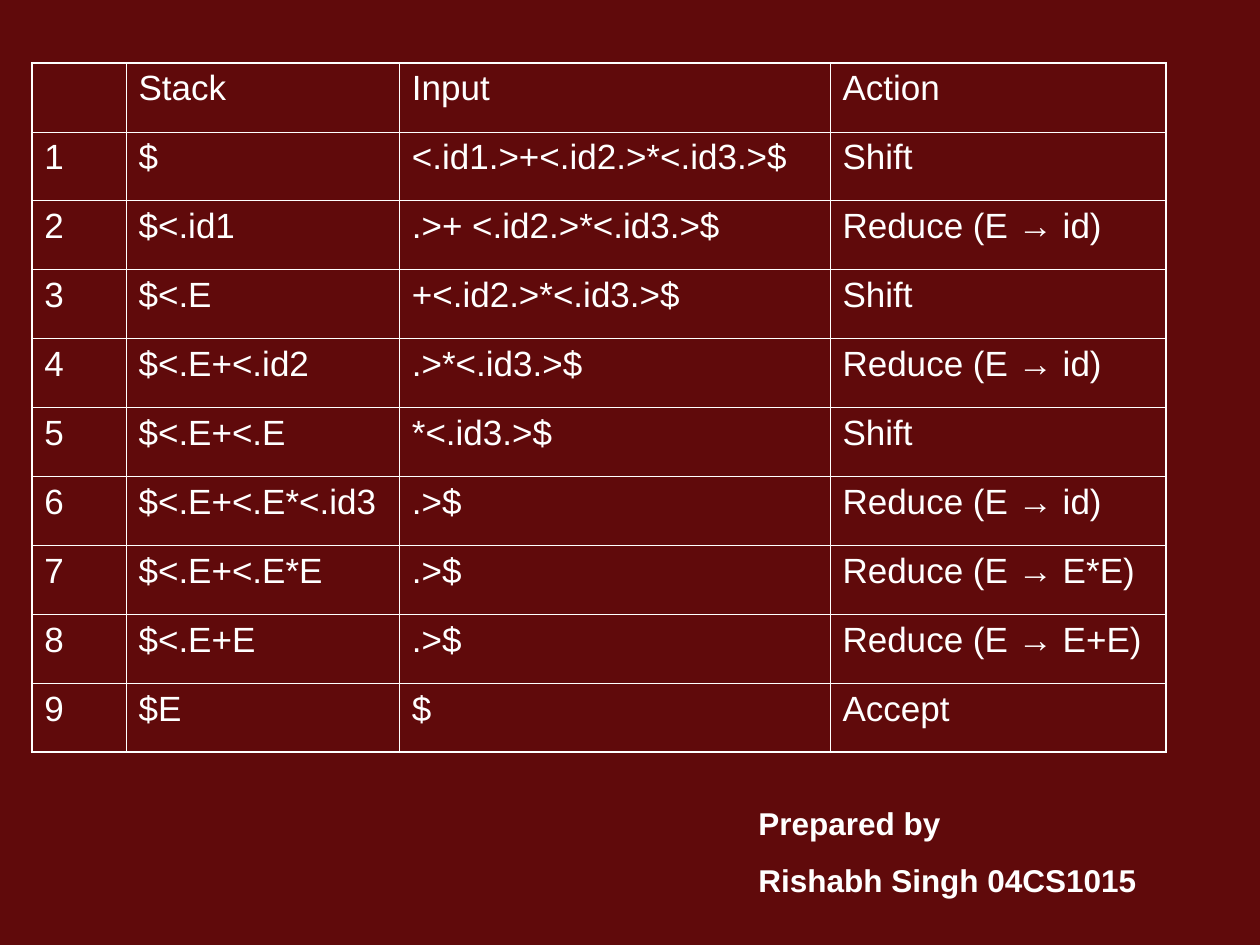
from lxml import etree
from pptx import Presentation
from pptx.dml.color import RGBColor
from pptx.enum.text import MSO_AUTO_SIZE
from pptx.oxml.ns import qn
from pptx.util import Cm, Pt

GROW = MSO_AUTO_SIZE.SHAPE_TO_FIT_TEXT
MAROON = RGBColor(0x60, 0x0A, 0x0B)
WHITE = RGBColor(0xFF, 0xFF, 0xFF)
ARROW = "→"
THIN, THICK = Pt(0.45), Pt(1.08)

# Parser trace
COLS = [1.9, 5.51, 8.68, 6.77]
ROW = 1.39
TRACE = [
    ("", "Stack", "Input", "Action"),
    ("1", "$", "<.id1.>+<.id2.>*<.id3.>$", "Shift"),
    ("2", "$<.id1", ".>+ <.id2.>*<.id3.>$", "Reduce (E → id)"),
    ("3", "$<.E", "+<.id2.>*<.id3.>$", "Shift"),
    ("4", "$<.E+<.id2", ".>*<.id3.>$", "Reduce (E → id)"),
    ("5", "$<.E+<.E", "*<.id3.>$", "Shift"),
    ("6", "$<.E+<.E*<.id3", ".>$", "Reduce (E → id)"),
    ("7", "$<.E+<.E*E", ".>$", "Reduce (E → E*E)"),
    ("8", "$<.E+E", ".>$", "Reduce (E → E+E)"),
    ("9", "$E", "$", "Accept"),
]


class Deck:
    font = "Arial"
    color = WHITE

    def __init__(self, wide, high):
        self.prs = Presentation()
        self.prs.slide_width, self.prs.slide_height = Cm(wide), Cm(high)
        self.slide = self.prs.slides.add_slide(self.prs.slide_layouts[6])

    def back(self, color):
        fill = self.slide.background.fill
        fill.solid()
        fill.fore_color.rgb = color

    def run(self, para, text, size, bold=False):
        run = para.add_run()
        run.text = text
        font = run.font
        font.name, font.size, font.bold = self.font, Pt(size), bold
        font.color.rgb = self.color

    def edge(self, cell, side, width):
        props = cell._tc.get_or_add_tcPr()
        line = etree.SubElement(props, qn("a:ln" + side), w=str(int(width)))
        fill = etree.SubElement(line, qn("a:solidFill"))
        etree.SubElement(fill, qn("a:srgbClr"), val=str(self.color))

    def table(self, left, top, cols, row, data, size):
        frame = self.slide.shapes.add_table(
            len(data), len(cols), Cm(left), Cm(top),
            Cm(sum(cols)), Cm(row * len(data)))
        grid = frame.table
        grid.first_row = grid.horz_banding = False
        for col, width in zip(grid.columns, cols):
            col.width = Cm(width)
        for r, texts in enumerate(data):
            grid.rows[r].height = Cm(row)
            for c, text in enumerate(texts):
                cell = grid.cell(r, c)
                # Outer edges are heavier than the inner ones
                outer = {"L": c == 0, "R": c == len(cols) - 1,
                         "T": r == 0, "B": r == len(data) - 1}
                for side, heavy in outer.items():
                    self.edge(cell, side, THICK if heavy else THIN)
                cell.fill.background()
                para = cell.text_frame.paragraphs[0]
                # The arrow stands in its own bold run
                for part in text.partition(ARROW):
                    if part:
                        self.run(para, part, size, part == ARROW)

    def text(self, left, top, width, height, lines, size, gap):
        box = self.slide.shapes.add_textbox(
            Cm(left), Cm(top), Cm(width), Cm(height))
        frame = box.text_frame
        frame.word_wrap = True
        frame.auto_size = GROW
        for i, line in enumerate(lines):
            para = frame.add_paragraph() if i else frame.paragraphs[0]
            if i:
                para.space_before = Pt(gap)
            self.run(para, line, size, True)


def main():
    deck = Deck(25.4, 19.05)
    deck.back(MAROON)
    # Trace table
    deck.table(0.64, 1.27, COLS, ROW, TRACE, 20)
    # Author
    deck.text(15.04, 16.08, 9.73, 2.18,
              ["Prepared by", "Rishabh Singh 04CS1015"], 18, 11.2)
    deck.prs.save("out.pptx")


if __name__ == "__main__":
    main()
